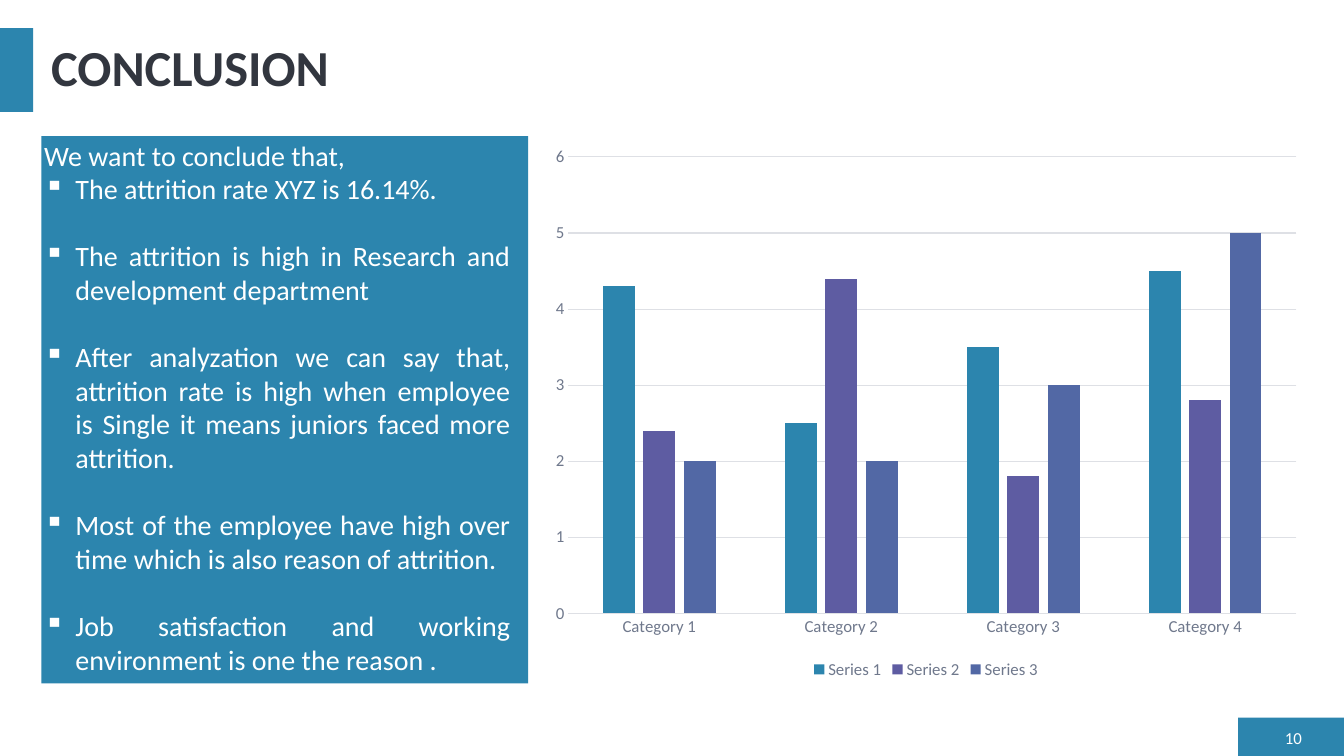
"""Build the conclusion slide: findings on the left, clustered columns on the right."""
from dataclasses import dataclass

from lxml import etree
from pptx import Presentation
from pptx.chart.data import CategoryChartData
from pptx.dml.color import RGBColor
from pptx.enum.chart import XL_CHART_TYPE, XL_LEGEND_POSITION, XL_TICK_MARK
from pptx.enum.shapes import MSO_SHAPE
from pptx.enum.text import MSO_ANCHOR, PP_ALIGN
from pptx.oxml.ns import qn
from pptx.util import Inches, Pt

RECTANGLE = MSO_SHAPE.RECTANGLE
COLUMNS = XL_CHART_TYPE.COLUMN_CLUSTERED
LEGEND_BOTTOM = XL_LEGEND_POSITION.BOTTOM
NO_TICK = XL_TICK_MARK.NONE
TOP, MIDDLE = MSO_ANCHOR.TOP, MSO_ANCHOR.MIDDLE
LEFT, RIGHT, JUSTIFY = PP_ALIGN.LEFT, PP_ALIGN.RIGHT, PP_ALIGN.JUSTIFY

FONT = "Calibri"
BLUE, WHITE, INK, GREY, RULE = "2C85AE", "FFFFFF", "32363F", "6F788C", "DEE0E5"
BULLET_INDENT = 0.31


@dataclass(frozen=True)
class Box:
    left: float
    top: float
    width: float
    height: float

    def lengths(self) -> tuple:
        return tuple(Inches(v) for v in (self.left, self.top, self.width, self.height))


@dataclass(frozen=True)
class Line:
    text: str
    size: int
    color: str = WHITE
    bold: bool = False
    align: PP_ALIGN = LEFT
    bulleted: bool = False
    space_before: int = 0
    spacing: float = 1.0


@dataclass(frozen=True)
class Series:
    name: str
    values: tuple
    color: str


PAGE_TAB = Box(12.28, 7.12, 1.05, 0.38)
TITLE_TAB = Box(0, 0.28, 0.33, 0.83)
FINDINGS_PANEL = Box(0.41, 1.35, 4.83, 5.43)
TITLE = Box(0.41, 0.28, 12.6, 0.83)
PAGE_NUMBER = Box(12.6, 7.2, 0.41, 0.23)
CHART = Box(5.36, 1.35, 7.65, 5.43)
FINDINGS_TEXT = Box(0.34, 1.32, 4.82, 5.49)

FINDINGS = (
    "The attrition rate XYZ is 16.14%.",
    "The attrition is high in Research and development department",
    "After analyzation we can say that, attrition rate is high when employee "
    "is Single it means juniors faced more attrition.",
    "Most of the employee have high over time which is also reason of attrition.",
    "Job satisfaction and working environment is one the reason .",
)
CATEGORIES = [f"Category {n}" for n in range(1, 5)]
SERIES = (
    Series("Series 1", (4.3, 2.5, 3.5, 4.5), BLUE),
    Series("Series 2", (2.4, 4.4, 1.8, 2.8), "5E5CA2"),
    Series("Series 3", (2, 2, 3, 5), "5268A5"),
)


def rgb(color: str) -> RGBColor:
    return RGBColor.from_string(color)


def style_font(font, size: int, color: str, bold: bool = False) -> None:
    font.name, font.size, font.bold = FONT, Pt(size), bold
    font.color.rgb = rgb(color)


def add_panel(slide, box: Box) -> None:
    panel = slide.shapes.add_shape(RECTANGLE, *box.lengths())
    panel.shadow.inherit = False
    panel.fill.solid()
    panel.fill.fore_color.rgb = rgb(BLUE)
    panel.line.fill.background()


def add_bullet(paragraph) -> None:
    properties = paragraph._p.get_or_add_pPr()
    properties.set("marL", str(Inches(BULLET_INDENT)))
    properties.set("indent", str(-Inches(BULLET_INDENT)))
    etree.SubElement(properties, qn("a:buChar")).set("char", "▪")


def add_text(slide, box: Box, lines: list[Line], anchor: MSO_ANCHOR) -> None:
    frame = slide.shapes.add_textbox(*box.lengths()).text_frame
    frame.word_wrap = True
    frame.vertical_anchor = anchor
    for index, line in enumerate(lines):
        paragraph = frame.add_paragraph() if index else frame.paragraphs[0]
        paragraph.text = line.text
        paragraph.alignment = line.align
        if line.spacing != 1:
            paragraph.line_spacing = line.spacing
        if line.space_before:
            paragraph.space_before = Pt(line.space_before)
        if line.bulleted:
            add_bullet(paragraph)
        style_font(paragraph.font, line.size, line.color, line.bold)


def style_rule(line) -> None:
    line.color.rgb = rgb(RULE)
    line.width = Pt(0.75)


def add_columns(slide, box: Box) -> None:
    data = CategoryChartData()
    data.categories = CATEGORIES
    for series in SERIES:
        data.add_series(series.name, series.values)
    chart = slide.shapes.add_chart(COLUMNS, *box.lengths(), data).chart
    style_font(chart.font, 10, INK)
    chart.has_title = False
    chart.has_legend = True
    chart.legend.position = LEGEND_BOTTOM
    chart.legend.include_in_layout = False
    style_font(chart.legend.font, 12, GREY)

    plot = chart.plots[0]
    plot.gap_width, plot.overlap = 219, -27
    plot.vary_by_categories = False
    for drawn, series in zip(plot.series, SERIES):
        drawn.format.fill.solid()
        drawn.format.fill.fore_color.rgb = rgb(series.color)

    for axis in (chart.category_axis, chart.value_axis):
        axis.major_tick_mark = axis.minor_tick_mark = NO_TICK
        style_font(axis.tick_labels.font, 12, GREY)
    style_rule(chart.category_axis.format.line)
    values = chart.value_axis
    values.minimum_scale, values.maximum_scale, values.major_unit = 0, 6, 1
    values.format.line.fill.background()
    style_rule(values.major_gridlines.format.line)


def main() -> None:
    deck = Presentation()
    deck.slide_width, deck.slide_height = Inches(13.33), Inches(7.5)
    slide = deck.slides.add_slide(deck.slide_layouts[6])

    for panel in (PAGE_TAB, TITLE_TAB, FINDINGS_PANEL):
        add_panel(slide, panel)
    add_text(slide, TITLE, [Line("CONCLUSION", 36, INK, bold=True, spacing=0.9)], MIDDLE)
    add_text(slide, PAGE_NUMBER, [Line("10", 12, align=RIGHT)], MIDDLE)
    add_columns(slide, CHART)
    intro = Line("We want to conclude that,", 20, align=JUSTIFY)
    findings = [
        Line(text, 20, align=JUSTIFY, bulleted=True, space_before=24 if index else 0)
        for index, text in enumerate(FINDINGS)
    ]
    add_text(slide, FINDINGS_TEXT, [intro, *findings], TOP)

    deck.save("out.pptx")


if __name__ == "__main__":
    main()
